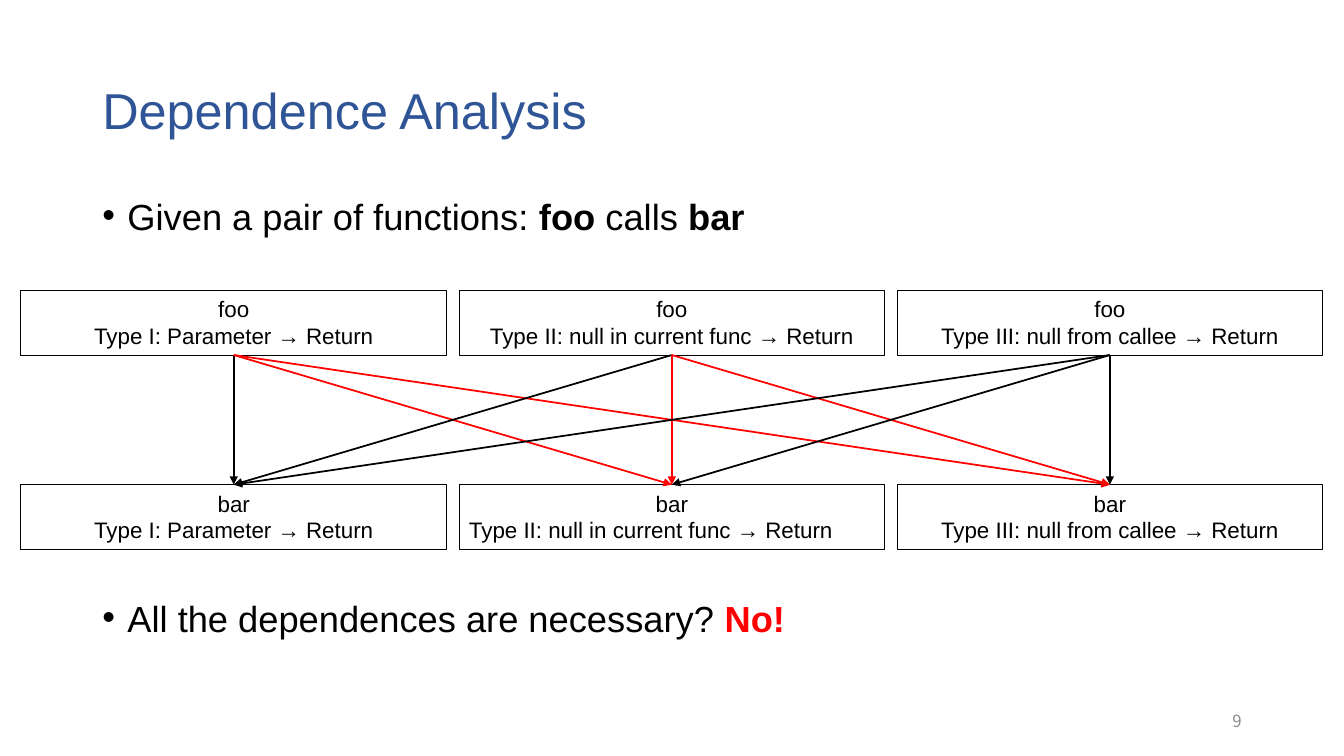
import itertools

import pptx
import pptx.dml.color
import pptx.enum.shapes
import pptx.enum.text
import pptx.oxml
import pptx.oxml.ns
import pptx.util

Pt = pptx.util.Pt
RGBColor = pptx.dml.color.RGBColor
ALIGN = pptx.enum.text.PP_ALIGN
ANCHOR = pptx.enum.text.MSO_ANCHOR

BLACK = RGBColor(0x00, 0x00, 0x00)
RED = RGBColor(0xFF, 0x00, 0x00)
BLUE = RGBColor(0x2F, 0x55, 0x97)
GREY = RGBColor(0x8C, 0x8C, 0x8C)

TITLE = {"size": Pt(36), "name": "Arial", "color": BLUE}
BODY = {"size": Pt(25.9), "name": "Arial", "color": BLACK}
STRONG = {**BODY, "bold": True}
ANSWER = {**STRONG, "color": RED}
LABEL = {"size": Pt(16), "name": "Arial", "color": BLACK}
NUMBER = {"size": Pt(12), "name": "Noto Sans CJK SC", "color": GREY}

SUMMARIES = [
    "Type I: Parameter → Return",
    "Type II: null in current func → Return",
    "Type III: null from callee → Return",
]
BOX_LEFT, BOX_STEP, BOX_WIDTH, BOX_HEIGHT = 15, 312.9, 304, 46.4
CALLER_TOP, CALLEE_TOP = 207.2, 346.2


def add_run(paragraph, text, style):
    """Append text to a paragraph in the given style."""
    run = paragraph.add_run()
    run.text = text
    for key, value in style.items():
        if key == "color":
            run.font.color.rgb = value
        else:
            setattr(run.font, key, value)


def add_text_area(slide, left, top, width, height, anchor):
    """Add a wrapping text box and return its text frame."""
    area = slide.shapes.add_textbox(Pt(left), Pt(top), Pt(width), Pt(height))
    frame = area.text_frame
    frame.word_wrap = True
    frame.vertical_anchor = anchor
    return frame


def add_bullet(paragraph, runs, space_before=None):
    """Fill a paragraph with a bullet and styled runs."""
    properties = paragraph._p.get_or_add_pPr()
    for key, value in {"marL": Pt(18), "indent": Pt(-18)}.items():
        properties.set(key, str(int(value)))
    namespace = pptx.oxml.ns.nsdecls("a")
    for xml in (f'<a:buFont {namespace} typeface="Arial"/>', f'<a:buChar {namespace} char="•"/>'):
        properties.append(pptx.oxml.parse_xml(xml))
    paragraph.line_spacing = 0.7
    if space_before:
        paragraph.space_before = Pt(space_before)
    for text, style in runs:
        add_run(paragraph, text, style)


def add_function_box(slide, column, top, function, summary_align):
    """Add an outlined box with a function name and its summary type."""
    box = slide.shapes.add_shape(
        pptx.enum.shapes.MSO_SHAPE.RECTANGLE,
        Pt(BOX_LEFT + column * BOX_STEP), Pt(top), Pt(BOX_WIDTH), Pt(BOX_HEIGHT),
    )
    box.shadow.inherit = False
    box.fill.background()
    box.line.color.rgb = BLACK
    box.line.width = Pt(0.75)
    frame = box.text_frame
    frame.word_wrap = True
    frame.vertical_anchor = ANCHOR.TOP
    heading, summary = frame.paragraphs[0], frame.add_paragraph()
    heading.alignment, summary.alignment = ALIGN.CENTER, summary_align
    add_run(heading, function, LABEL)
    add_run(summary, SUMMARIES[column], LABEL)


def add_dependence(slide, caller, callee, color):
    """Draw an arrow from a caller box to a callee box."""
    start, end = (BOX_LEFT + column * BOX_STEP + BOX_WIDTH / 2 for column in (caller, callee))
    arrow = slide.shapes.add_connector(
        pptx.enum.shapes.MSO_CONNECTOR.STRAIGHT,
        Pt(start), Pt(CALLER_TOP + BOX_HEIGHT), Pt(end), Pt(CALLEE_TOP),
    )
    arrow.line.color.rgb = color
    arrow.line.width = Pt(1.25)
    namespace = pptx.oxml.ns.nsdecls("a")
    arrow.line._get_or_add_ln().append(
        pptx.oxml.parse_xml(f'<a:tailEnd {namespace} type="triangle"/>'))
    arrow._element.spPr.append(pptx.oxml.parse_xml(f"<a:effectLst {namespace}/>"))


def main():
    """Build the dependence analysis slide."""
    deck = pptx.Presentation()
    deck.slide_width, deck.slide_height = Pt(960), Pt(540)
    slide = deck.slides.add_slide(deck.slide_layouts[6])

    title = add_text_area(slide, 66, 28.8, 828, 104.4, ANCHOR.MIDDLE).paragraphs[0]
    title.line_spacing = 0.9
    add_run(title, "Dependence Analysis", TITLE)

    body = add_text_area(slide, 66, 144, 828, 342.7, ANCHOR.TOP)
    add_bullet(body.paragraphs[0], [
        ("Given a pair of functions: ", BODY), ("foo", STRONG),
        (" calls ", BODY), ("bar", STRONG),
    ])
    add_bullet(body.add_paragraph(), [
        ("All the dependences are necessary? ", BODY), ("No!", ANSWER),
    ], space_before=265)

    number = add_text_area(slide, 678, 500.5, 216, 28.8, ANCHOR.MIDDLE).paragraphs[0]
    number.alignment = ALIGN.RIGHT
    add_run(number, "9", NUMBER)

    columns = range(len(SUMMARIES))
    for column in columns:
        add_function_box(slide, column, CALLER_TOP, "foo", ALIGN.CENTER)
        callee_align = ALIGN.LEFT if column == 1 else ALIGN.CENTER
        add_function_box(slide, column, CALLEE_TOP, "bar", callee_align)
    for caller, callee in itertools.product(columns, columns):
        add_dependence(slide, caller, callee, RED if caller < 2 and callee > 0 else BLACK)

    deck.save("out.pptx")


if __name__ == "__main__":
    main()
